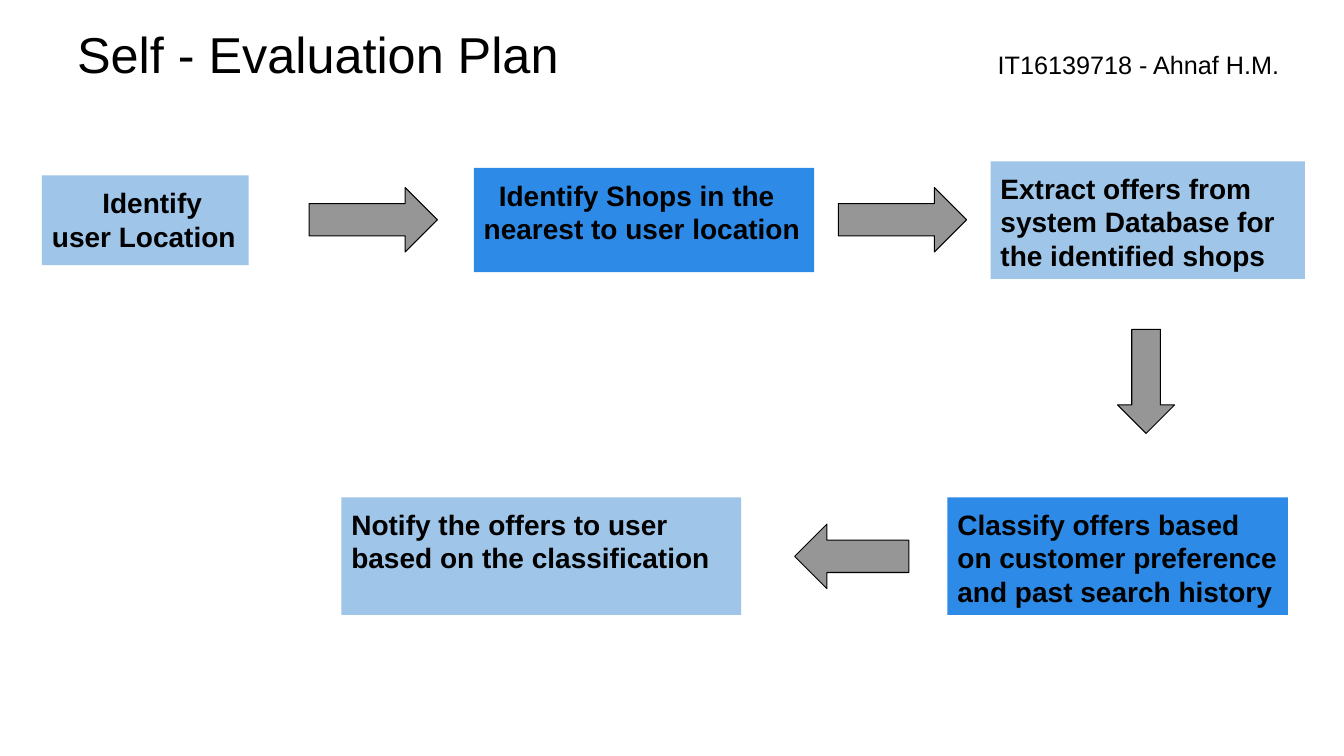
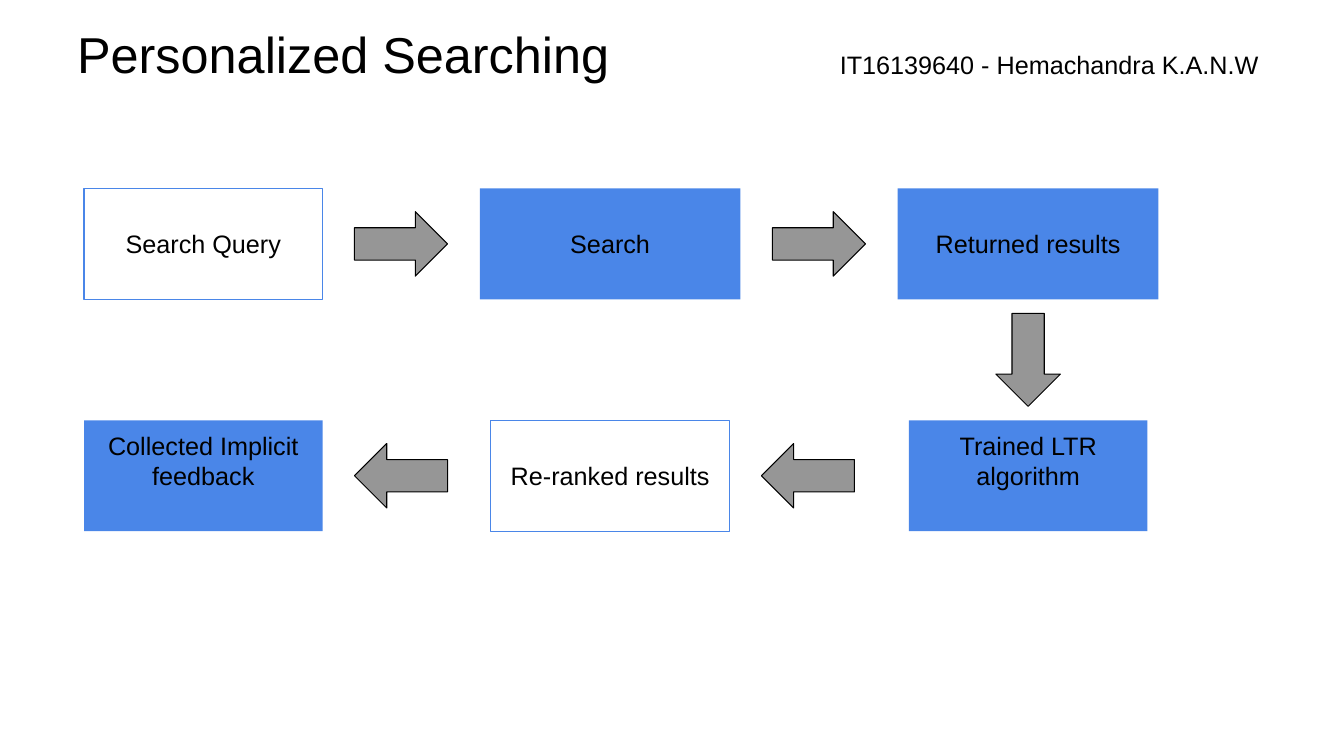
"""Build two process-flow slides that share one title and box style."""
from pptx import Presentation
from pptx.dml.color import RGBColor
from pptx.enum.shapes import MSO_SHAPE
from pptx.enum.text import MSO_ANCHOR, PP_ALIGN
from pptx.util import Inches, Pt

BLACK = RGBColor(0x00, 0x00, 0x00)
GREY = RGBColor(0x96, 0x96, 0x96)
PALE_BLUE = RGBColor(0x9F, 0xC5, 0xE8)
BRIGHT_BLUE = RGBColor(0x2D, 0x8A, 0xE7)
BLUE = RGBColor(0x4A, 0x86, 0xE8)
FONT = "Arial"
COLUMNS = 40
BLANK_LAYOUT = 6


class FlowDeck:
    def __init__(self):
        self.presentation = Presentation()
        self.presentation.slide_width = Inches(13.333)
        self.presentation.slide_height = Inches(7.5)
        self.cell = self.presentation.slide_width / COLUMNS
        self.slide = None

    def place(self, *cells):
        return [round(cell * self.cell) for cell in cells]

    def set_text(self, shape, text, size, bold=False, align=PP_ALIGN.LEFT,
                 anchor=MSO_ANCHOR.TOP, inset=0.05, indent=0):
        frame = shape.text_frame
        frame.word_wrap = True
        frame.vertical_anchor = anchor
        frame.margin_left = frame.margin_right = Inches(0.1)
        frame.margin_top = frame.margin_bottom = Inches(inset)
        frame.text = text
        for paragraph in frame.paragraphs:
            paragraph.alignment = align
            if indent:
                paragraph._p.get_or_add_pPr().set("indent", str(Inches(indent)))
            for run in paragraph.runs:
                run.font.name = FONT
                run.font.size = Pt(size)
                run.font.bold = bold
                run.font.color.rgb = BLACK

    def label(self, text, left, top, width, height, size, **style):
        shape = self.slide.shapes.add_textbox(*self.place(left, top, width, height))
        self.set_text(shape, text, size, **style)

    def start_slide(self, title, author, author_left, author_width):
        layout = self.presentation.slide_layouts[BLANK_LAYOUT]
        self.slide = self.presentation.slides.add_slide(layout)
        self.label(title, 2, 0.63, 36, 1.92, 36, anchor=MSO_ANCHOR.MIDDLE)
        self.label(author, author_left, 1.33, author_width, 1.2, 18)

    def shape(self, kind, left, top, width, height, fill=None, line=None):
        shape = self.slide.shapes.add_shape(kind, *self.place(left, top, width, height))
        shape.shadow.inherit = False
        if fill is None:
            shape.fill.background()
        else:
            shape.fill.solid()
            shape.fill.fore_color.rgb = fill
        if line is None:
            shape.line.fill.background()
        else:
            shape.line.color.rgb = line
            shape.line.width = Pt(0.75)
        return shape

    def box(self, text, left, top, width, height, size, fill=None, line=None, **style):
        shape = self.shape(MSO_SHAPE.RECTANGLE, left, top, width, height, fill, line)
        self.set_text(shape, text, size, inset=0.1, **style)

    def arrow(self, kind, left, top, width, height):
        self.shape(kind, left, top, width, height, GREY, BLACK)


def build_evaluation_plan(deck):
    deck.start_slide("Self - Evaluation Plan", "IT16139718 - Ahnaf H.M.", 29.4, 9.1)
    steps = [
        ("Identify user Location", 1.25, 5.22, 6.15, 2.67, PALE_BLUE, 0.5),
        ("Identify Shops in the nearest to user location",
         14.1, 5, 10.13, 3.1, BRIGHT_BLUE, 0.15),
        ("Extract offers from system Database for the identified shops",
         29.48, 4.8, 9.36, 3.5, PALE_BLUE, 0),
        ("Classify offers based on customer preference and past search history",
         28.2, 14.8, 10.13, 3.5, BRIGHT_BLUE, 0),
        ("Notify the offers to user\nbased on the classification",
         10.16, 14.8, 11.9, 3.5, PALE_BLUE, 0),
    ]
    for text, left, top, width, height, fill, indent in steps:
        deck.box(text, left, top, width, height, 20, fill, bold=True, indent=indent)
    for left in (9.2, 24.95):
        deck.arrow(MSO_SHAPE.RIGHT_ARROW, left, 5.58, 3.82, 1.92)
    deck.arrow(MSO_SHAPE.DOWN_ARROW, 33.26, 9.8, 1.7, 3.1)
    deck.arrow(MSO_SHAPE.LEFT_ARROW, 23.65, 15.6, 3.4, 1.92)


def build_personalized_searching(deck):
    deck.start_slide("Personalized Searching", "IT16139640 - Hemachandra K.A.N.W",
                     24.7, 14.67)
    narrow, wide, height, gap = 7.1, 7.76, 3.3, 4.68
    arrow_length, arrow_breadth, arrow_gap = 2.77, 1.92, 0.95
    top_row, bottom_row = 5.61, 12.51
    rows = [
        (top_row, MSO_SHAPE.RIGHT_ARROW, [
            ("Search Query", narrow, None, MSO_ANCHOR.MIDDLE),
            ("Search", wide, BLUE, MSO_ANCHOR.MIDDLE),
            ("Returned results", wide, BLUE, MSO_ANCHOR.MIDDLE)]),
        (bottom_row, MSO_SHAPE.LEFT_ARROW, [
            ("Collected Implicit feedback", narrow, BLUE, MSO_ANCHOR.TOP),
            ("Re-ranked results", narrow, None, MSO_ANCHOR.MIDDLE),
            ("Trained LTR algorithm", narrow, BLUE, MSO_ANCHOR.TOP)]),
    ]
    first_center = 2.5 + narrow / 2
    second_center = 2.5 + narrow + gap + wide / 2
    centers = [first_center, second_center, second_center + wide + gap]
    for top, arrow_kind, boxes in rows:
        for center, (text, width, fill, anchor) in zip(centers, boxes):
            deck.box(text, center - width / 2, top, width, height, 18, fill,
                     line=None if fill else BLUE, align=PP_ALIGN.CENTER, anchor=anchor)
            if center != centers[-1]:
                deck.arrow(arrow_kind, center + width / 2 + arrow_gap,
                           top + (height - arrow_breadth) / 2, arrow_length, arrow_breadth)
    middle = (top_row + height + bottom_row) / 2
    deck.arrow(MSO_SHAPE.DOWN_ARROW, centers[-1] - arrow_breadth / 2,
               middle - arrow_length / 2, arrow_breadth, arrow_length)


def main():
    deck = FlowDeck()
    build_evaluation_plan(deck)
    build_personalized_searching(deck)
    deck.presentation.save("out.pptx")


if __name__ == "__main__":
    main()
